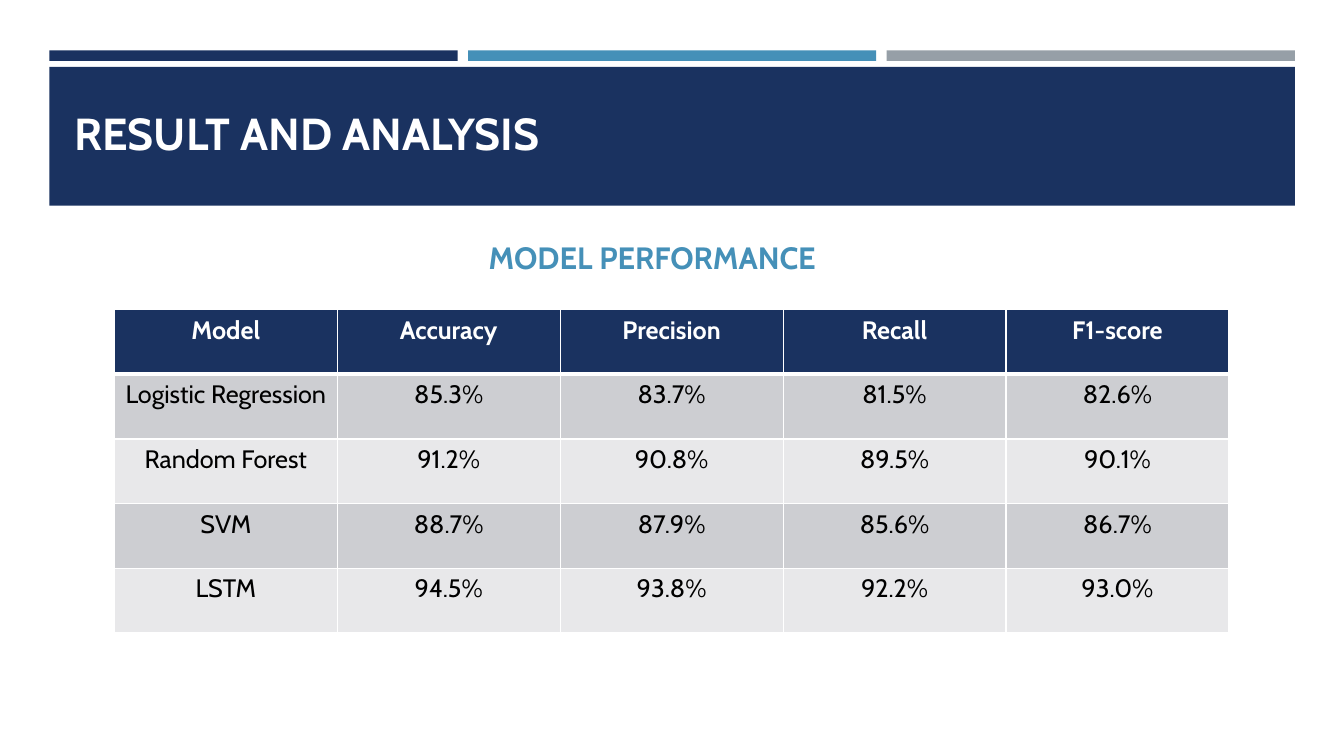
from dataclasses import dataclass

from lxml.etree import SubElement
from pptx import Presentation
from pptx.dml.color import RGBColor as Rgb
from pptx.enum.shapes import MSO_SHAPE as Preset
from pptx.enum.text import MSO_ANCHOR as Anchor, PP_ALIGN as Align
from pptx.oxml.ns import qn
from pptx.slide import Slide
from pptx.table import _Cell as Cell
from pptx.util import Pt

COLORS = {
    "navy": "1A3260",
    "blue": "4590B8",
    "gray": "969FA7",
    "white": "FFFFFF",
    "black": "000000",
    "dark_band": "CDCED2",
    "light_band": "E8E8EA",
}
FONT = "Cabin"
MARGIN = 35.3
BAR_WIDTH = 291.6
BAR_PITCH = 299
COLUMN_WIDTH = 159.25
ROW_HEIGHT = 46.2


@dataclass
class Block:
    left: float
    top: float
    width: float
    height: float
    color: str


@dataclass
class Heading:
    text: str
    left: float
    top: float
    width: float
    height: float
    size: float
    color: str


BLOCKS = [
    Block(MARGIN + index * BAR_PITCH, 36, BAR_WIDTH, 7.5, color)
    for index, color in enumerate(["navy", "blue", "gray"])
] + [Block(MARGIN, 47.8, 889.6, 99.2, "navy")]

HEADINGS = [
    Heading("RESULT AND ANALYSIS", 46.1, 39.6, 868.3, 77.8, 32, "white"),
    Heading("MODEL PERFORMANCE", 342, 157.7, 400.3, 42.5, 22, "blue"),
]

RESULTS = [
    ["Model", "Accuracy", "Precision", "Recall", "F1-score"],
    ["Logistic Regression", "85.3%", "83.7%", "81.5%", "82.6%"],
    ["Random Forest", "91.2%", "90.8%", "89.5%", "90.1%"],
    ["SVM", "88.7%", "87.9%", "85.6%", "86.7%"],
    ["LSTM", "94.5%", "93.8%", "92.2%", "93.0%"],
]


def rgb(name: str) -> Rgb:
    return Rgb.from_string(COLORS[name])


def style_font(para, size: float, color: str, bold: bool) -> None:
    para.font.name = FONT
    para.font.size = Pt(size)
    para.font.bold = bold
    para.font.color.rgb = rgb(color)


def draw_block(page: Slide, block: Block) -> None:
    shape = page.shapes.add_shape(
        Preset.RECTANGLE, Pt(block.left), Pt(block.top), Pt(block.width), Pt(block.height)
    )
    shape.shadow.inherit = False
    shape.fill.solid()
    shape.fill.fore_color.rgb = rgb(block.color)
    shape.line.fill.background()


def draw_heading(page: Slide, heading: Heading) -> None:
    box = page.shapes.add_textbox(
        Pt(heading.left), Pt(heading.top), Pt(heading.width), Pt(heading.height)
    )
    frame = box.text_frame
    frame.word_wrap = True
    frame.vertical_anchor = Anchor.BOTTOM
    para = frame.paragraphs[0]
    para.text = heading.text
    style_font(para, heading.size, heading.color, True)


def add_borders(cell: Cell, top: float, bottom: float) -> None:
    properties = cell._tc.get_or_add_tcPr()
    for side, width in {"lnL": 1, "lnR": 1, "lnT": top, "lnB": bottom}.items():
        line = SubElement(properties, qn(f"a:{side}"), w=str(Pt(width)))
        fill = SubElement(line, qn("a:solidFill"))
        SubElement(fill, qn("a:srgbClr"), val=COLORS["white"])


def draw_results(page: Slide) -> None:
    rows, columns = len(RESULTS), len(RESULTS[0])
    table = page.shapes.add_table(
        rows, columns, Pt(81.7), Pt(221.2), Pt(columns * COLUMN_WIDTH), Pt(rows * ROW_HEIGHT)
    ).table
    for column in table.columns:
        column.width = Pt(COLUMN_WIDTH)
    for index, values in enumerate(RESULTS):
        table.rows[index].height = Pt(ROW_HEIGHT)
        header = index == 0
        band = "navy" if header else "dark_band" if index % 2 else "light_band"
        for position, value in enumerate(values):
            cell = table.cell(index, position)
            add_borders(cell, 3 if index == 1 else 1, 3 if header else 1)
            cell.fill.solid()
            cell.fill.fore_color.rgb = rgb(band)
            para = cell.text_frame.paragraphs[0]
            para.text = value
            para.alignment = Align.CENTER
            style_font(para, 18, "white" if header else "black", header)


def main() -> None:
    deck = Presentation()
    deck.slide_width, deck.slide_height = Pt(960), Pt(540)
    page = deck.slides.add_slide(deck.slide_layouts[6])
    for block in BLOCKS:
        draw_block(page, block)
    for heading in HEADINGS:
        draw_heading(page, heading)
    draw_results(page)
    deck.save("out.pptx")


if __name__ == "__main__":
    main()
